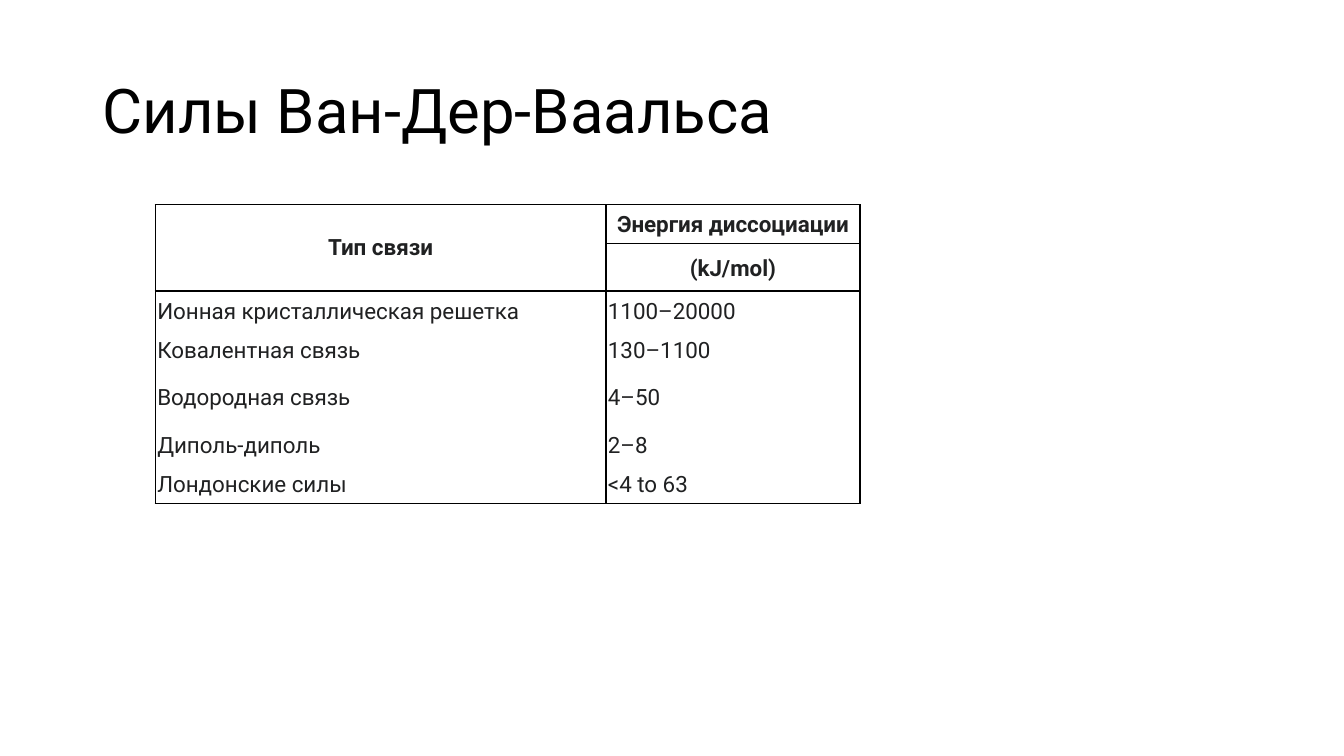
"""Build the slide on Van der Waals forces with its table of bond energies."""
from dataclasses import dataclass

from lxml.etree import SubElement
from pptx import Presentation
from pptx.dml.color import RGBColor
from pptx.enum.text import MSO_ANCHOR as Anchor, PP_ALIGN as Align
from pptx.oxml.ns import qn
from pptx.slide import Slide
from pptx.table import _Cell as Cell
from pptx.text.text import TextFrame
from pptx.util import Inches, Pt

BLACK = RGBColor(0x00, 0x00, 0x00)
INK = RGBColor(0x20, 0x21, 0x22)
FONT = "Roboto"
HEADER_ROWS = 2
COLUMN_WIDTHS = (4.47, 2.52)
NARROW_MARGINS = (0.02, 0.02, 0.02, 0)
WIDE_MARGINS = (0.2, 0.1, 0.2, 0.1)


@dataclass(frozen=True)
class TableRow:
    bond: str
    energy: str
    height: float = 0.39


ROWS = (
    TableRow("Тип связи", "Энергия диссоциации"),
    TableRow("", "(kJ/mol)"),
    TableRow("Ионная кристаллическая решетка", "1100–20000"),
    TableRow("Ковалентная связь", "130–1100"),
    TableRow("Водородная связь", "4–50", 0.55),
    TableRow("Диполь-диполь", "2–8"),
    TableRow("Лондонские силы", "<4 to 63"),
)


def apply_format(target: object, values: dict[str, object]) -> None:
    """Set every named attribute of the target."""
    for name, value in values.items():
        setattr(target, name, value)


def write_text(frame: TextFrame, text: str, size: float, color: RGBColor,
               bold: bool = False, align: Align = Align.LEFT, spacing: float = 1.0) -> None:
    """Fill a text frame with one formatted paragraph."""
    para = frame.paragraphs[0]
    apply_format(para, {"alignment": align, "line_spacing": spacing})
    span = para.add_run()
    span.text = text
    apply_format(span.font, {"name": FONT, "size": Pt(size), "bold": bold})
    span.font.color.rgb = color


def draw_borders(cell: Cell, visible: str) -> None:
    """Draw the listed sides of a cell and blank the others."""
    properties = cell._tc.get_or_add_tcPr()
    for side in "LRTB":
        line = SubElement(properties, qn(f"a:ln{side}"), w=str(Pt(1)))
        if side in visible:
            fill = SubElement(line, qn("a:solidFill"))
            SubElement(fill, qn("a:srgbClr"), val=str(BLACK))
        else:
            SubElement(line, qn("a:noFill"))


def style_cell(cell: Cell, margins: tuple[float, ...], borders: str) -> None:
    """Set margins, anchor, borders and an empty fill."""
    sides = ("margin_left", "margin_top", "margin_right", "margin_bottom")
    apply_format(cell, {side: Inches(gap) for side, gap in zip(sides, margins)})
    cell.vertical_anchor = Anchor.MIDDLE
    draw_borders(cell, borders)
    cell.fill.background()


def add_title(page: Slide) -> None:
    """Add the slide title."""
    box = page.shapes.add_textbox(Inches(0.92), Inches(0.4), Inches(11.5), Inches(1.45))
    apply_format(box.text_frame, {"word_wrap": True, "vertical_anchor": Anchor.MIDDLE})
    write_text(box.text_frame, "Cилы Ван-Дер-Ваальса", 44, BLACK, spacing=0.9)


def add_energy_table(page: Slide) -> None:
    """Add the table of bond types and dissociation energies."""
    width, height = sum(COLUMN_WIDTHS), sum(row.height for row in ROWS)
    table = page.shapes.add_table(len(ROWS), len(COLUMN_WIDTHS), Inches(1.54),
                                  Inches(2.03), Inches(width), Inches(height)).table
    apply_format(table, {"first_row": False, "horz_banding": False})
    for column, column_width in zip(table.columns, COLUMN_WIDTHS):
        column.width = Inches(column_width)
    table.cell(0, 0).merge(table.cell(HEADER_ROWS - 1, 0))
    for index, row in enumerate(ROWS):
        table.rows[index].height = Inches(row.height)
        header = index < HEADER_ROWS
        top = "T" if index <= HEADER_ROWS else ""
        bottom = "B" if header or index == len(ROWS) - 1 else ""
        for column_index, text in enumerate((row.bond, row.energy)):
            cell = table.cell(index, column_index)
            wide = header and column_index == 0
            style_cell(cell, WIDE_MARGINS if wide else NARROW_MARGINS, f"LR{top}{bottom}")
            if text:
                write_text(cell.text_frame, text, 16, INK, header,
                           Align.CENTER if header else Align.LEFT)


def main() -> None:
    """Create and save the deck."""
    deck = Presentation()
    apply_format(deck, {"slide_width": Inches(13.33), "slide_height": Inches(7.5)})
    page = deck.slides.add_slide(deck.slide_layouts[6])
    add_title(page)
    add_energy_table(page)
    deck.save("out.pptx")


if __name__ == "__main__":
    main()
